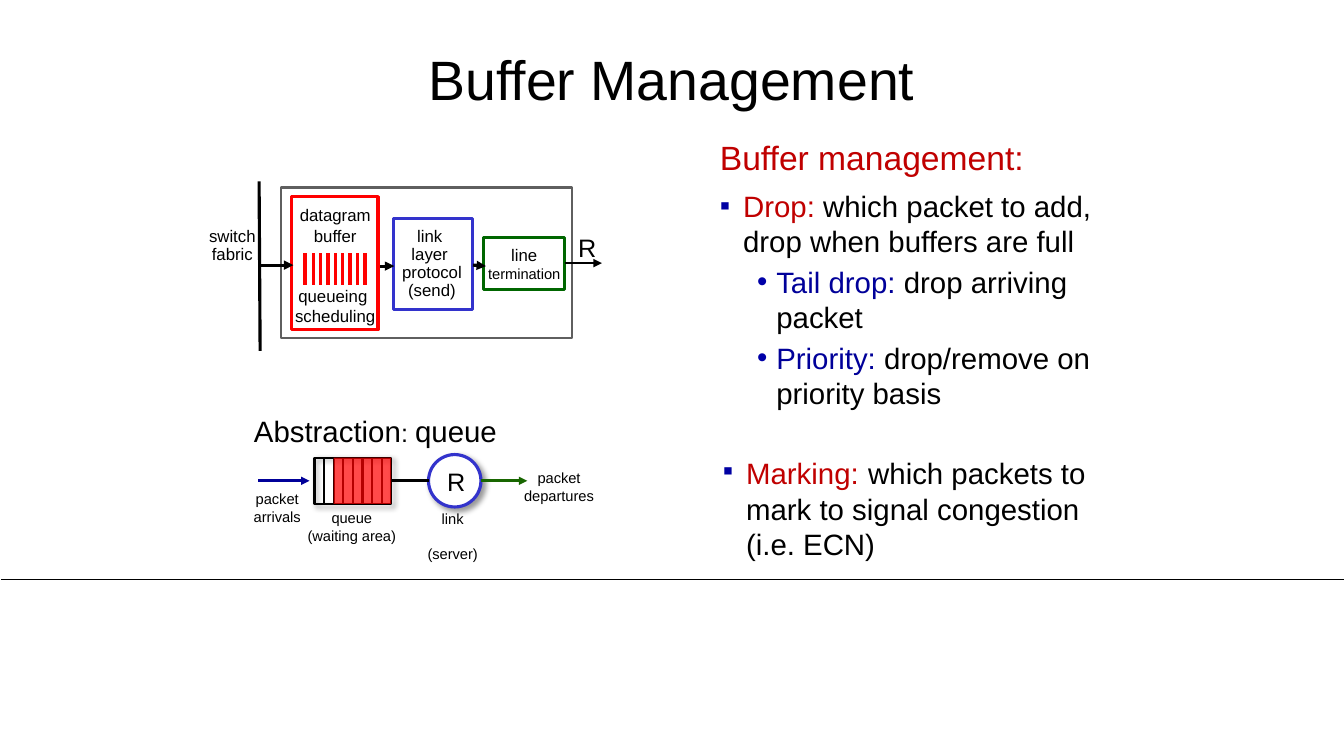
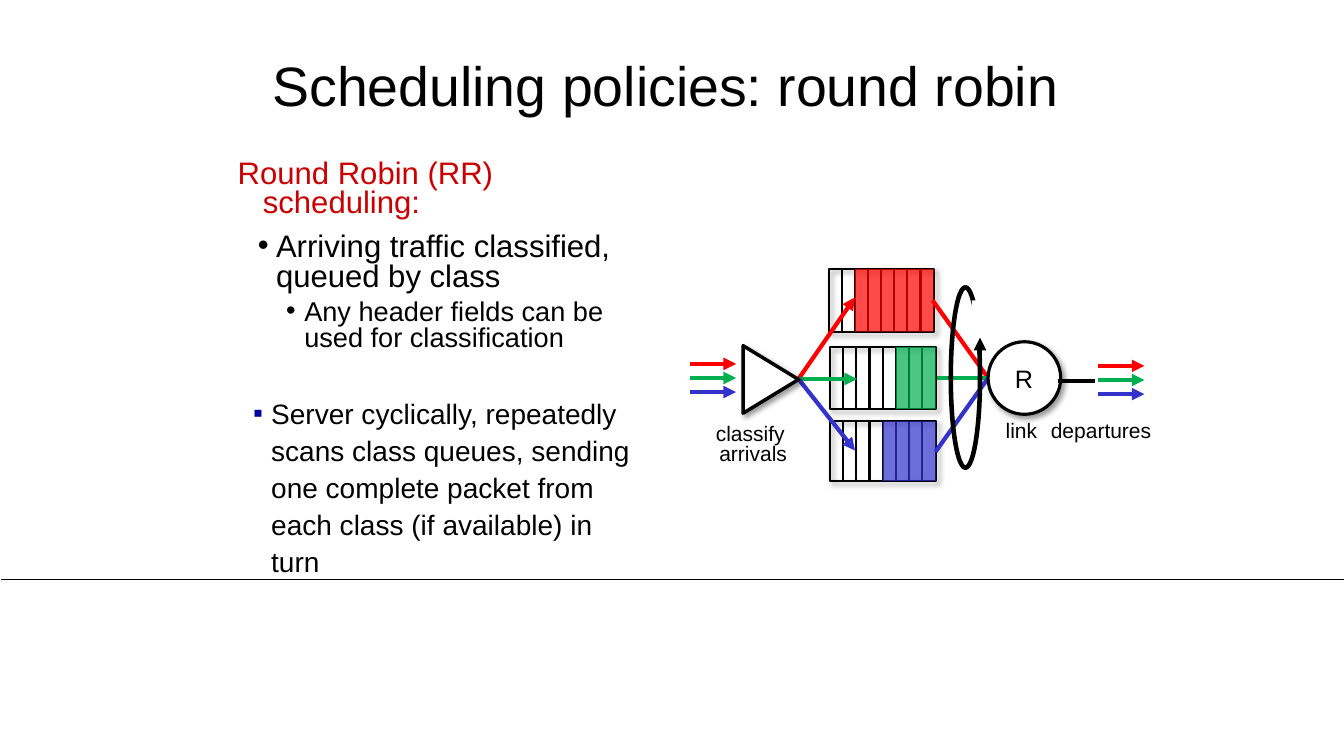
from lxml.etree import SubElement
from pptx import Presentation
from pptx.dml.color import RGBColor
from pptx.enum.shapes import MSO_CONNECTOR, MSO_SHAPE
from pptx.enum.text import MSO_ANCHOR, PP_ALIGN
from pptx.oxml.ns import qn
from pptx.util import Inches, Pt

HUE = {
    "black": "000000", "white": "FFFFFF", "grey": "5F5F5F", "red": "FF0000",
    "green": "00B050", "blue": "3333CC", "dark": "006600", "leaf": "186600",
    "navy": "000099", "mark": "0000A3", "dot": "0000A8",
    "brick": "C00000", "ruby": "CC0000",
}
FONT = "Arial"
TITLE = 39.6
RULE = (0.01, 5.75, 13.33, 5.75)
LANES = ("red", "green", "blue")
TIGHT = (0.07, 0.04)
LOOSE = (0.1, 0.05)
FLUSH = (0, 0.05)
ITEM = dict(ind=(0.24, -0.23), before=7.5, mark=("▪", "mark"))
SUB = dict(ind=(0.57, -0.19), before=3.8, mark=("•", "dot"))

# Paragraph: runs of (text, size, colour), then its format
BUFFER = {
    "title": ("Buffer Management", (2.35, 0.45, 8.62, 0.73)),
    "texts": [
        ((7.06, 1.36, 4.07, 4.11), TIGHT, [
            ([("Buffer management:", 24, "brick")],
             dict(ind=(0.19, -0.18), space=0.9, before=7.5)),
            ([("Drop: ", 21, "brick"),
              ("which packet to add, drop when buffers are full", 21, "black")], ITEM),
            ([("Tail drop: ", 21, "navy"), ("drop arriving packet", 21, "black")], SUB),
            ([("Priority: ", 21, "navy"),
              ("drop/remove on priority basis", 21, "black")], SUB),
        ]),
        ((7, 4.43, 4.07, 1.2), TIGHT, [
            ([("Marking:", 21, "brick"), (" ", 24, "brick"),
              ("which packets to mark to signal congestion (i.e. ECN)", 21, "black")],
             ITEM | dict(ind=(0.33, -0.23))),
        ]),
        ((2.42, 4.05, 2.68, 0.45), LOOSE, [
            ([("Abstraction", 21, "black"), (": ", 18, "black"),
              ("queue", 21, "black")], {}),
        ]),
    ],
    # place, shape, fill, line, width, shadow
    "boxes": [
        ((2.79, 1.86, 2.88, 1.49), "RECTANGLE", "white", "grey", 1.5, False),
        ((4.8, 2.36, 0.8, 0.51), "RECTANGLE", "white", "dark", 2.25, False),
        ((3.9, 2.17, 0.79, 0.9), "RECTANGLE", "white", "blue", 2.25, False),
        ((2.89, 1.95, 0.86, 1.32), "RECTANGLE", "white", "red", 2.25, False),
        ((2.98, 2.49, 0.68, 0.36), "RECTANGLE", "red", "white", 3, False),
        ((4.25, 4.51, 0.52, 0.52), "OVAL", "white", "blue", 2.25, True),
    ],
    # ends, colour, width, arrowhead
    "lines": [
        ((3.77, 2.64, 3.91, 2.64), "black", 2.25, True),
        ((4.69, 2.63, 4.82, 2.64), "black", 2.25, True),
        ((2.57, 1.8, 2.58, 3.48), "black", 2.25, False),
        ((2.57, 2.63, 2.91, 2.63), "black", 2.25, True),
        ((5.6, 2.61, 5.97, 2.61), "black", 2, True),
        ((2.56, 4.77, 3.07, 4.77), "navy", 2, True),
        ((4.77, 4.77, 5.23, 4.77), "leaf", 2, True),
        ((3.89, 4.77, 4.25, 4.77), "black", 2, False),
    ],
    # place, rows of (text, size, space before), line spacing
    "labels": [
        ((4.8, 2.36, 0.8, 0.51), [("line", 12, 0), ("termination", 10.5, 0)], 1),
        ((3.92, 2.17, 0.73, 0.9),
         [(word, 12, 0) for word in ("link ", "layer ", "protocol", "(send)")], 0.9),
        ((1.94, 2.12, 0.73, 0.64), [("switch", 12, 0), ("fabric", 12, 0)], 0.9),
        ((2.82, 1.98, 1.01, 1.31),
         [("datagram", 12, 0), ("buffer", 12, 0),
          ("queueing ", 12, 28.8), ("scheduling", 12, 0)], 1),
        ((5.65, 2.26, 0.35, 0.4), [("R", 18, 0)], 1),
        ((2.94, 5, 1.1, 0.45), [("queue", 10.5, 0), ("(waiting area)", 10.5, 0)], 1),
        ((2.41, 4.81, 0.68, 0.45), [("packet", 10.5, 0), ("arrivals", 10.5, 0)], 1),
        ((5.09, 4.6, 0.91, 0.45), [("packet", 10.5, 0), ("departures", 10.5, 0)], 1),
        ((4.13, 5.01, 0.72, 0.62), [("link", 10.5, 0), ("(server)", 10.5, 12.6)], 1),
        ((4.35, 4.58, 0.35, 0.4), [("R", 18, 0)], 1),
    ],
    # place, slots left empty, colour
    "queues": [((3.12, 4.54, 0.76, 0.46), 2, "red")],
}

ROBIN = {
    "title": ("Scheduling policies: round robin", (2.29, 0.51, 8.62, 0.73)),
    "texts": [
        ((2.26, 1.54, 4.23, 2.06), LOOSE, [
            ([("Round Robin (RR) scheduling:", 22.2, "ruby")],
             dict(ind=(0.25, -0.25), space=0.8, before=10)),
            ([("Arriving traffic classified, queued by class", 22.2, "black")],
             dict(ind=(0.38, -0.18), space=0.8, before=10, mark=("•", "black"))),
            ([("Any header fields can be used for classification", 19.4, "black")],
             dict(ind=(0.66, -0.18), space=0.8, before=5, mark=("•", "black"))),
        ]),
        ((2.24, 3.86, 4.23, 1.93), TIGHT, [
            ([("Server cyclically, repeatedly scans class queues, sending one "
               "complete packet from each class (if available) in turn", 20, "black")],
             ITEM | dict(ind=(0.38, -0.18), space=1.1)),
        ]),
    ],
    "queues": [
        ((8.22, 2.67, 1.04, 0.62), 2, "red"),
        ((8.23, 3.44, 1.05, 0.62), 5, "green"),
        ((8.23, 4.18, 1.05, 0.59), 4, "blue"),
    ],
    "boxes": [
        ((7.31, 3.49, 0.67, 0.55), "ISOSCELES_TRIANGLE", "white", "black", 2.5, True),
        ((9.8, 3.39, 0.72, 0.72), "OVAL", "white", "black", 2.25, True),
        ((9.43, 2.85, 0.29, 1.79), "OVAL", None, "black", 3.25, False),
        ((9.64, 2.98, 0.16, 0.48), "RECTANGLE", "white", None, 0, False),
    ],
    "lines": [
        ((10.49, 3.78, 10.86, 3.78), "black", 3, False),
        ((9.72, 3.57, 9.72, 3.35), "black", 3, True),
    ],
    "labels": [
        ((7.01, 4.17, 0.92, 0.5), [("classify ", 15, 0), ("arrivals", 15, 0)], 0.8),
        ((10.31, 4.14, 1.22, 0.3), [("departures", 15, 0)], 0.8),
        ((9.87, 4.14, 0.52, 0.3), [("link", 15, 0)], 0.8),
        ((9.98, 3.61, 0.35, 0.34), [("R", 18, 0)], 0.8),
    ],
}
FLOWS = ((6.84, 3.61), (10.89, 3.63))
FORK = (7.92, 3.76)
JOIN = (9.8, 3.75)
INTO = ((8.48, 2.95), (8.5, 3.76), (8.48, 4.47))
FROM = ((9.25, 2.98), (9.29, 3.75), (9.28, 4.48))


def rgb(hue):
    return RGBColor.from_string(HUE[hue])


def inch(place):
    return [Inches(n) for n in place]


def style(run, size, hue):
    for name, value in dict(name=FONT, size=Pt(size)).items():
        setattr(run.font, name, value)
    run.font.color.rgb = rgb(hue)


def bullet(para, char, hue):
    props = para._p.get_or_add_pPr()
    SubElement(SubElement(props, qn("a:buClr")), qn("a:srgbClr"), val=HUE[hue])
    SubElement(props, qn("a:buFont"), typeface=FONT)
    SubElement(props, qn("a:buChar"), char=char)


def write(para, runs, ind=None, space=1, before=0, mark=None, align=PP_ALIGN.LEFT):
    look = dict(line_spacing=space, space_before=Pt(before), alignment=align)
    for name, value in look.items():
        setattr(para, name, value)
    if ind:
        props = para._p.get_or_add_pPr()
        for name, value in zip(("marL", "indent"), ind):
            props.set(name, str(Inches(value)))
    if mark:
        bullet(para, *mark)
    for words, size, hue in runs:
        run = para.add_run()
        run.text = words
        style(run, size, hue)


def text(slide, place, inset, paras, wrap=True, anchor=MSO_ANCHOR.TOP):
    frame = slide.shapes.add_textbox(*inch(place)).text_frame
    side, edge = inch(inset)
    look = dict(word_wrap=wrap, vertical_anchor=anchor, margin_left=side,
                margin_right=side, margin_top=edge, margin_bottom=edge)
    for name, value in look.items():
        setattr(frame, name, value)
    for i, (runs, form) in enumerate(paras):
        write(frame.add_paragraph() if i else frame.paragraphs[0], runs, **form)


def label(slide, place, rows, space):
    paras = [([(words, size, "black")],
              dict(space=space, before=gap, align=PP_ALIGN.CENTER))
             for words, size, gap in rows]
    text(slide, place, FLUSH, paras, False, MSO_ANCHOR.MIDDLE)


def box(slide, place, kind, fill, edge, width, shade, alpha=None):
    shape = slide.shapes.add_shape(getattr(MSO_SHAPE, kind), *inch(place))
    shape.shadow.inherit = False
    if kind == "ISOSCELES_TRIANGLE":
        shape.rotation = 90
    if fill:
        shape.fill.solid()
        shape.fill.fore_color.rgb = rgb(fill)
    else:
        shape.fill.background()
    if edge:
        shape.line.color.rgb = rgb(edge)
        shape.line.width = Pt(width)
    else:
        shape.line.fill.background()
    props = shape._element.spPr
    if alpha:
        tint = props.find(qn("a:solidFill")).find(qn("a:srgbClr"))
        SubElement(tint, qn("a:alpha"), val=str(alpha * 1000))
    if shade:
        cast = SubElement(props.find(qn("a:effectLst")), qn("a:outerShdw"),
                          blurRad=str(Pt(4)), dist=str(Pt(3)),
                          dir=str(45 * 60000), rotWithShape="0")
        tint = SubElement(cast, qn("a:srgbClr"), val=HUE["black"])
        SubElement(tint, qn("a:alpha"), val="40000")


def line(slide, ends, hue, width, head=False):
    wire = slide.shapes.add_connector(MSO_CONNECTOR.STRAIGHT, *inch(ends))
    wire.line.color.rgb = rgb(hue)
    wire.line.width = Pt(width)
    if head:
        SubElement(wire.line._get_or_add_ln(), qn("a:tailEnd"), type="triangle")
    SubElement(wire._element.spPr, qn("a:effectLst"))


def queue(slide, place, free, hue, slots=8):
    """Draw a buffer of equal slots, tinted after the free ones."""
    x, y, w, h = place
    step = w / slots
    box(slide, place, "RECTANGLE", None, "black", 1.5, True)
    for i in range(1, slots):
        line(slide, (x + i * step, y, x + i * step, y + h), "black", 1.5)
    full = (x + free * step, y, w - free * step, h)
    box(slide, full, "RECTANGLE", hue, None, 0, False, 71)


def page(deck, data):
    slide = deck.slides.add_slide(deck.slide_layouts[5])
    line(slide, RULE, "black", 0.5)
    words, place = data["title"]
    title = slide.shapes.title
    for name, value in zip(("left", "top", "width", "height"), inch(place)):
        setattr(title, name, value)
    title.text_frame.vertical_anchor = MSO_ANCHOR.MIDDLE
    write(title.text_frame.paragraphs[0], [(words, TITLE, "black")],
          space=0.9, align=PP_ALIGN.CENTER)
    for name, draw in (("queues", queue), ("texts", text)):
        for part in data[name]:
            draw(slide, *part)
    return slide


def finish(slide, data):
    for name, draw in (("boxes", box), ("lines", line), ("labels", label)):
        for part in data[name]:
            draw(slide, *part)


def main():
    deck = Presentation()
    deck.slide_width, deck.slide_height = inch((13.33, 7.5))

    slide = page(deck, BUFFER)
    finish(slide, BUFFER)
    for i in range(8):
        x = 3.07 + i * 0.073
        line(slide, (x, 2.5, x, 2.84), "white", 3)

    slide = page(deck, ROBIN)
    for i, hue in enumerate(LANES):
        for x, y in FLOWS:
            row = y + i * 0.14
            line(slide, (x, row, x + 0.46, row), hue, 3, True)
        line(slide, FORK + INTO[i], hue, 3, True)
        line(slide, FROM[i] + JOIN, hue, 3)
    finish(slide, ROBIN)

    deck.save("out.pptx")


if __name__ == "__main__":
    main()
